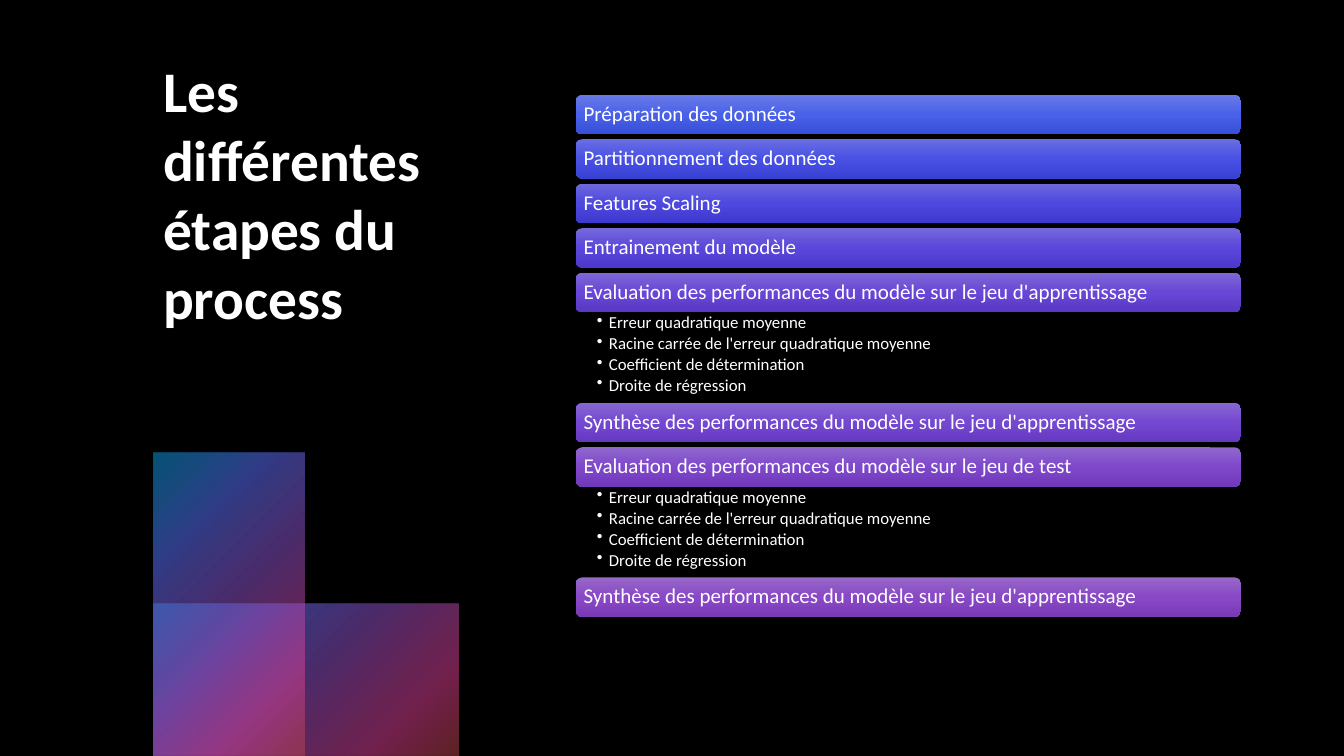
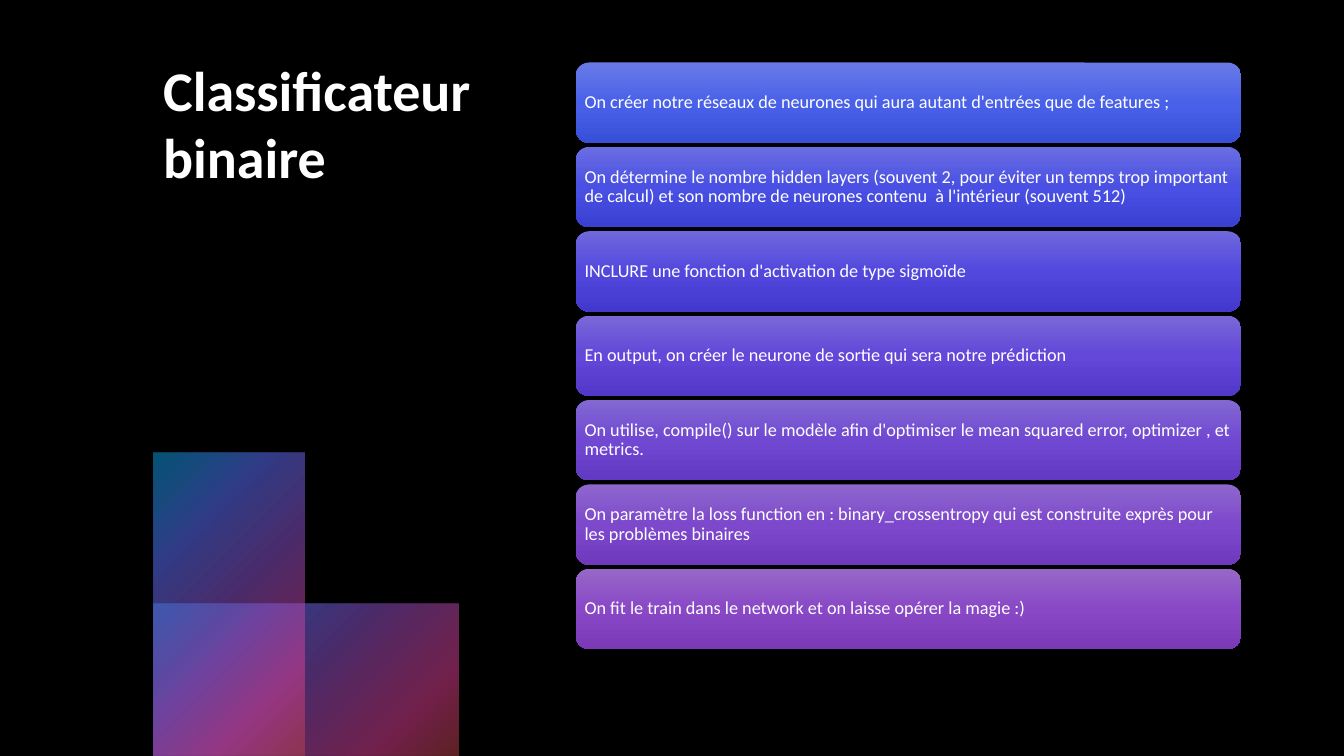
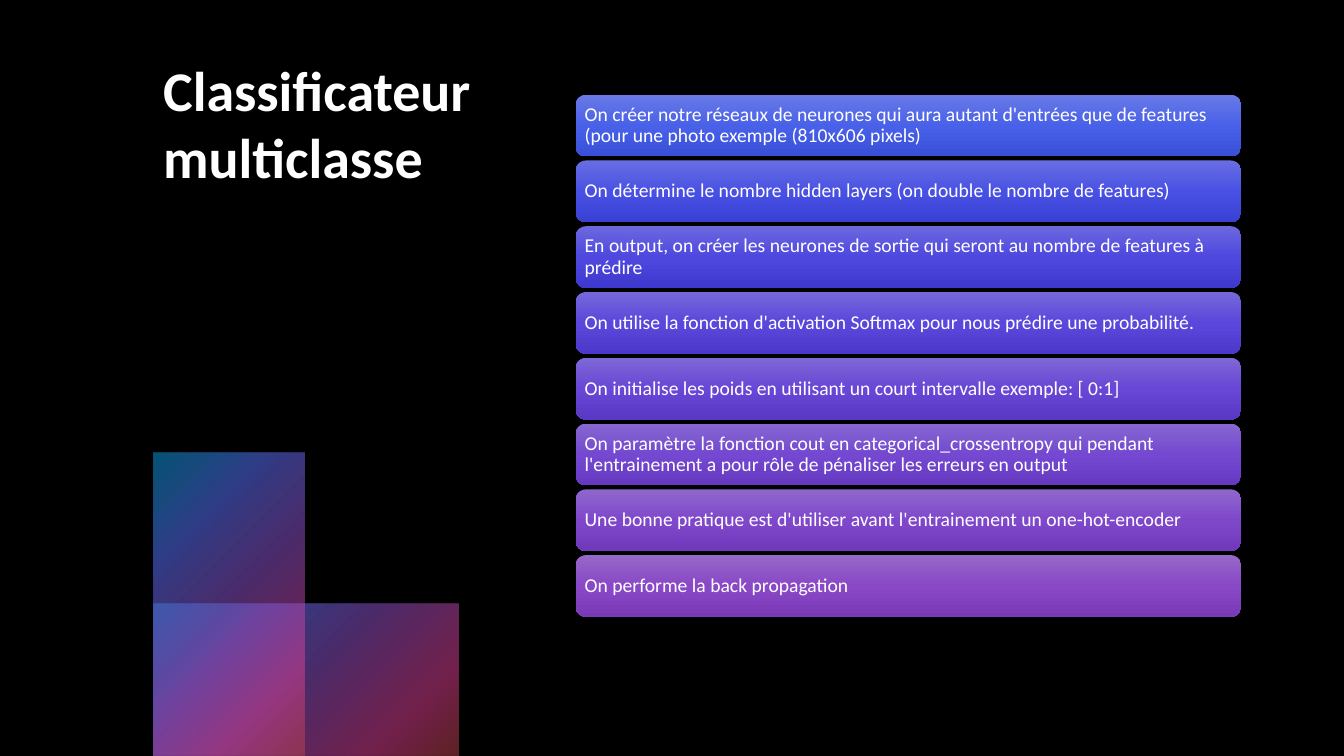
from dataclasses import dataclass
from typing import Optional

from lxml.etree import SubElement
from pptx import Presentation
from pptx.dml.color import RGBColor
from pptx.enum.shapes import MSO_SHAPE
from pptx.enum.text import MSO_ANCHOR, PP_ALIGN
from pptx.oxml.ns import qn
from pptx.util import Inches, Pt

FONT = "Calibri"
COLORS = {"background": "000000", "text": "FFFFFF"}

# Stops: position and opacity in percent
CORNER_STOPS = [
    (0, "0BA5E8", 50), (25, "5066E1", 60), (50, "894EC0", 55),
    (81, "E54196", 50), (99, "BE4449", 50),
]
# Top, middle and bottom colour of the bars, from blue to violet
BAR_SCALE = [
    ("697AE6", "4961E8", "3850D7"), ("696EE2", "4851E4", "3841D3"),
    ("6C68DE", "4E48DF", "3E38CE"), ("7568DA", "5B47DB", "4C38CA"),
    ("7E68D5", "6847D6", "5938C5"), ("8668D1", "7448D0", "6539C0"),
    ("8F67CC", "7F48CB", "7039BB"), ("9668C7", "8948C6", "7A3AB6"),
]
BAR_LEFT, BAR_WIDTH, DETAILS_HEIGHT = 5.71, 6.6, 0.9


@dataclass
class Step:
    text: str
    details: tuple[str, ...] = ()


@dataclass
class Page:
    title: str
    title_size: float
    title_width: float
    top: float
    bottom: float
    gap: float
    size: float
    inset: float
    steps: list[Step]


METRICS = (
    "Erreur quadratique moyenne",
    "Racine carrée de l'erreur quadratique moyenne",
    "Coefficient de détermination",
    "Droite de régression",
)
TRAINING_SUMMARY = "Synthèse des performances du modèle sur le jeu d'apprentissage"

PAGES = [
    Page("Les différentes étapes du process", 41, 3.48, 0.94, 6.12, 0.05, 15, 0.06, [
        Step("Préparation des données"),
        Step("Partitionnement des données"),
        Step("Features Scaling"),
        Step("Entrainement du modèle"),
        Step("Evaluation des performances du modèle sur le jeu d'apprentissage", METRICS),
        Step(TRAINING_SUMMARY),
        Step("Evaluation des performances du modèle sur le jeu de test", METRICS),
        Step(TRAINING_SUMMARY),
    ]),
    Page("Classificateur binaire", 40, 4.15, 0.62, 6.44, 0.04, 13, 0.05, [
        Step("On créer notre réseaux de neurones qui aura autant d'entrées que de features ;"),
        Step("On détermine le nombre hidden layers (souvent 2, pour éviter un temps trop "
             "important de calcul) et son nombre de neurones contenu\u00a0 à l'intérieur "
             "(souvent 512)"),
        Step("INCLURE une fonction d'activation de type sigmoïde"),
        Step("En output, on créer le neurone de sortie qui sera notre prédiction"),
        Step("On utilise, compile() sur le modèle afin d'optimiser le mean squared error, "
             "optimizer , et metrics."),
        Step("On paramètre la loss function en : binary_crossentropy qui est construite "
             "exprès pour les problèmes binaires"),
        Step("On fit le train dans le network et on laisse opérer la magie :)"),
    ]),
    Page("Classificateur multiclasse", 40, 4.09, 0.94, 6.12, 0.04, 14, 0.06, [
        Step("On créer notre réseaux de neurones qui aura autant d'entrées que de features "
             "(pour une photo exemple (810x606 pixels)"),
        Step("On détermine le nombre hidden layers (on double le nombre de features)"),
        Step("En output, on créer les neurones de sortie qui seront au nombre de features "
             "à prédire"),
        Step("On utilise la fonction d'activation Softmax pour nous prédire une probabilité."),
        Step("On initialise les poids en utilisant un court intervalle exemple: [ 0:1]"),
        Step("On paramètre la fonction cout en categorical_crossentropy qui pendant "
             "l'entrainement a pour rôle de pénaliser les erreurs en output"),
        Step("Une bonne pratique est d'utiliser avant l'entrainement un one-hot-encoder"),
        Step("On performe la back propagation"),
    ]),
]


def write_text(shape, *lines: str, size: float, bold: bool = False,
               anchor=MSO_ANCHOR.TOP, insets=(0.1, 0.05, 0.1, 0.05),
               line_spacing: float = 1.0, space_after: float = 0,
               bullet_indent: Optional[float] = None) -> None:
    """Fill a shape with left-aligned paragraphs in one format."""
    frame = shape.text_frame
    frame.word_wrap = True
    frame.vertical_anchor = anchor
    (frame.margin_left, frame.margin_top,
     frame.margin_right, frame.margin_bottom) = map(Inches, insets)
    for index, line in enumerate(lines):
        paragraph = frame.add_paragraph() if index else frame.paragraphs[0]
        paragraph.alignment = PP_ALIGN.LEFT
        paragraph.line_spacing = line_spacing
        paragraph.space_after = Pt(space_after)
        run = paragraph.add_run()
        run.text = line
        run.font.name = FONT
        run.font.size = Pt(size)
        run.font.bold = bold
        run.font.color.rgb = RGBColor.from_string(COLORS["text"])
        if bullet_indent is not None:
            properties = paragraph._p.get_or_add_pPr()
            properties.set("marL", str(Inches(bullet_indent)))
            properties.set("indent", str(-Inches(bullet_indent)))
            SubElement(properties, qn("a:buChar")).set("char", "•")


def add_gradient_shape(slide, kind, left: float, top: float, width: float,
                       height: float, stops, radial: bool = False):
    """Add a borderless shape, shaded downwards or out from its top left corner."""
    shape = slide.shapes.add_shape(
        kind, Inches(left), Inches(top), Inches(width), Inches(height))
    shape.shadow.inherit = False
    shape.line.fill.background()
    shape.fill.gradient()
    gradient = shape._element.spPr.find(qn("a:gradFill"))
    for child in list(gradient):
        gradient.remove(child)
    stop_list = SubElement(gradient, qn("a:gsLst"))
    for position, color, opacity in stops:
        stop = SubElement(stop_list, qn("a:gs"), pos=str(position * 1000))
        value = SubElement(stop, qn("a:srgbClr"), val=color)
        if opacity < 100:
            SubElement(value, qn("a:alpha"), val=str(opacity * 1000))
    if radial:
        direction = SubElement(gradient, qn("a:path"))
        direction.set("path", "circle")
        SubElement(direction, qn("a:fillToRect"), r="100000", b="100000")
    else:
        SubElement(gradient, qn("a:lin"), ang="5400000", scaled="0")
    return shape


def add_text_box(slide, left: float, top: float, width: float, height: float):
    return slide.shapes.add_textbox(
        Inches(left), Inches(top), Inches(width), Inches(height))


def blend(first: str, second: str, share: float) -> str:
    pairs = zip(bytes.fromhex(first), bytes.fromhex(second))
    return "".join(f"{round(a + (b - a) * share):02X}" for a, b in pairs)


def bar_stops(index: int, count: int) -> list[tuple[int, str, int]]:
    """Spread the colour scale evenly over the bars of a slide."""
    place = index * (len(BAR_SCALE) - 1) / (count - 1)
    low = min(int(place), len(BAR_SCALE) - 2)
    colors = [blend(first, second, place - low)
              for first, second in zip(BAR_SCALE[low], BAR_SCALE[low + 1])]
    return [(position, color, 100) for position, color in zip((0, 50, 100), colors)]


def add_frame(slide, page: Page) -> None:
    """Background, corner blocks and title."""
    slide.background.fill.solid()
    slide.background.fill.fore_color.rgb = RGBColor.from_string(COLORS["background"])
    for top, width, height in ((5.99, 3.03, 1.51), (4.49, 1.5, 3.01)):
        add_gradient_shape(slide, MSO_SHAPE.RECTANGLE, 1.52, top, width, height,
                           CORNER_STOPS, radial=True)
    title = add_text_box(slide, 1.52, 0.5, page.title_width, 3.71)
    write_text(title, page.title, size=page.title_size, bold=True)


def add_steps(slide, page: Page) -> None:
    """Stack of bars, some followed by bulleted details instead of a gap."""
    count = len(page.steps)
    spaces = [DETAILS_HEIGHT if step.details else page.gap for step in page.steps]
    bar_height = (page.bottom - page.top - sum(spaces[:-1])) / count
    top = page.top
    for index, (step, space) in enumerate(zip(page.steps, spaces)):
        bar = add_gradient_shape(slide, MSO_SHAPE.ROUNDED_RECTANGLE, BAR_LEFT, top,
                                 BAR_WIDTH, bar_height, bar_stops(index, count))
        write_text(bar, step.text, size=page.size, anchor=MSO_ANCHOR.MIDDLE,
                   insets=(page.inset,) * 4, line_spacing=0.9)
        top += bar_height
        if step.details:
            details = add_text_box(slide, BAR_LEFT, top, BAR_WIDTH, DETAILS_HEIGHT)
            write_text(details, *step.details, size=12, line_spacing=0.9, space_after=2,
                       insets=(0.21, 0.02, 0.12, 0.02), bullet_indent=0.12)
        top += space


presentation = Presentation()
presentation.slide_width = Inches(13.33)
presentation.slide_height = Inches(7.5)
for page in PAGES:
    slide = presentation.slides.add_slide(presentation.slide_layouts[6])
    add_frame(slide, page)
    add_steps(slide, page)
presentation.save("out.pptx")
